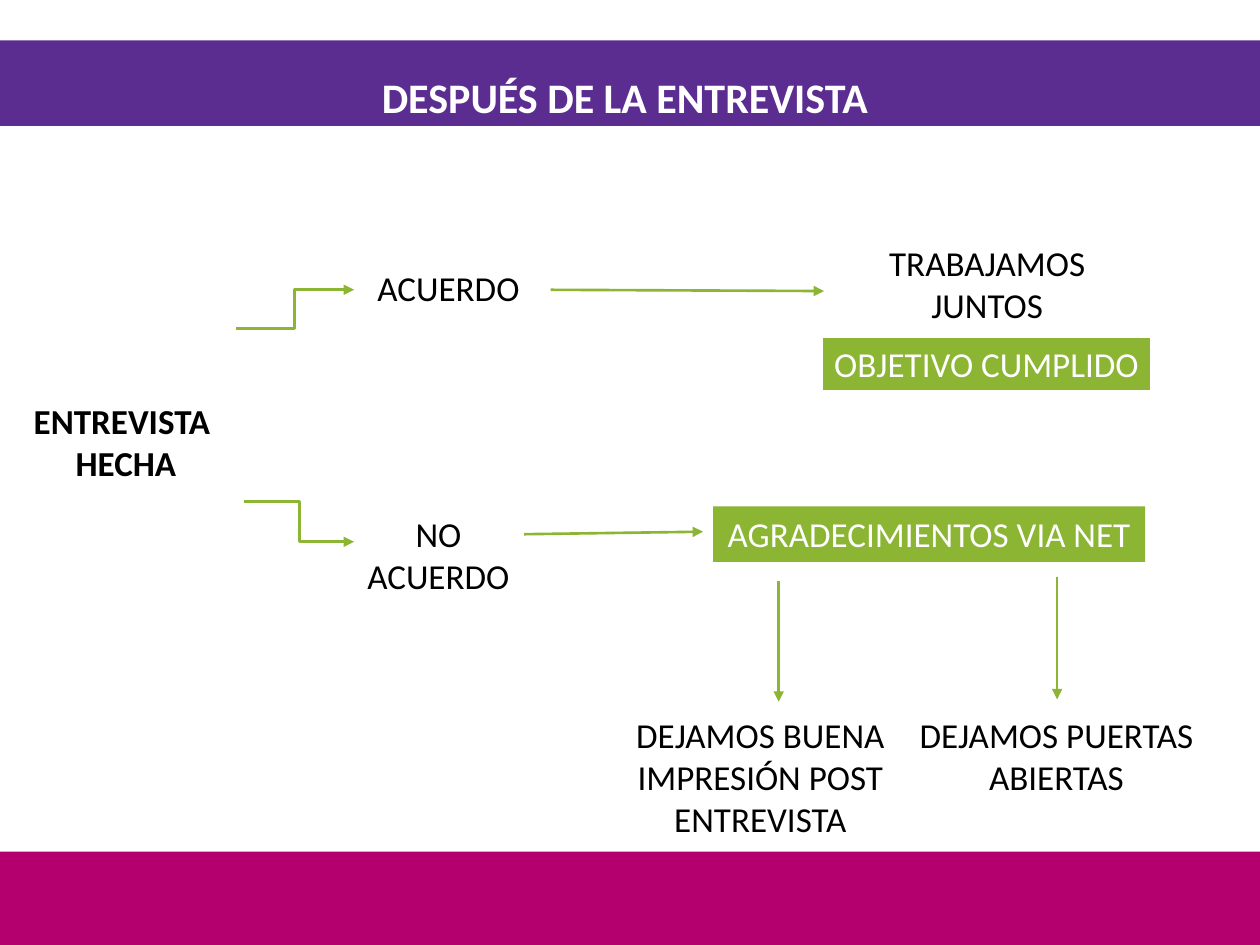
import pptx
import pptx.dml.color
import pptx.enum.shapes
import pptx.enum.text
import pptx.oxml.ns
import pptx.util
import lxml.etree

Inches = pptx.util.Inches
Pt = pptx.util.Pt
qn = pptx.oxml.ns.qn
ANCHOR = pptx.enum.text.MSO_ANCHOR
CONNECTOR = pptx.enum.shapes.MSO_CONNECTOR

COLORS = {"purple": "5C2D91", "magenta": "B4006F", "green": "8BB533",
          "white": "FFFFFF", "black": "000000"}


def rgb(name):
    return pptx.dml.color.RGBColor.from_string(COLORS[name])


def write(sp, lines, color="black", anchor=ANCHOR.TOP, wrap=True, spacing=1.0, **font):
    tf = sp.text_frame
    tf.word_wrap = wrap
    tf.vertical_anchor = anchor
    for i, line in enumerate(lines):
        p = tf.paragraphs[0] if i == 0 else tf.add_paragraph()
        p.alignment = pptx.enum.text.PP_ALIGN.CENTER
        p.line_spacing = spacing
        r = p.add_run()
        r.text = line
        for key, value in {"name": "Calibri", "size": Pt(20), "bold": False, **font}.items():
            setattr(r.font, key, value)
        r.font.color.rgb = rgb(color)


prs = pptx.Presentation()
prs.slide_width, prs.slide_height = Inches(10), Inches(7.5)
s = prs.slides.add_slide(prs.slide_layouts[6])

# Bands and green boxes: place, fill, outline, text
for place, fill, outline, text in [
    ((0, 6.76, 10, 0.74), "magenta", None, None),
    ((0, 0.32, 10, 0.68), "purple", None, None),
    ((5.66, 4.02, 3.43, 0.44), "green", None, "AGRADECIMIENTOS VIA NET"),
    ((6.52, 2.67, 2.62, 0.44), "green", "white", "OBJETIVO CUMPLIDO"),
]:
    sp = s.shapes.add_shape(pptx.enum.shapes.MSO_SHAPE.RECTANGLE, *map(Inches, place))
    sp.shadow.inherit = False
    sp.fill.solid()
    sp.fill.fore_color.rgb = rgb(fill)
    if outline:
        sp.line.color.rgb = rgb(outline)
        sp.line.width = Pt(1.5)
    else:
        sp.line.fill.background()
    if text:
        write(sp, [text], "white", wrap=False)

# Title and plain labels: place, lines, format
for place, lines, fmt in [
    ((0.46, -0.23, 9, 1.25), ["DESPUÉS DE LA ENTREVISTA"],
     {"color": "white", "anchor": ANCHOR.BOTTOM, "spacing": 0.9, "size": Pt(24), "bold": True}),
    ((0.06, 3.12, 1.88, 0.77), ["ENTREVISTA ", "HECHA"], {"bold": True}),
    ((2.89, 1.73, 1.34, 0.77), ["ACUERDO"], {"anchor": ANCHOR.BOTTOM}),
    ((2.81, 4.02, 1.34, 0.77), ["NO ACUERDO"], {}),
    ((6.68, 1.87, 2.31, 0.77), ["TRABAJAMOS JUNTOS"], {}),
    ((4.41, 5.61, 3.25, 1.11), ["DEJAMOS BUENA IMPRESIÓN POST ENTREVISTA"], {}),
    ((6.76, 5.61, 3.25, 0.77), ["DEJAMOS PUERTAS ABIERTAS"], {}),
]:
    write(s.shapes.add_textbox(*map(Inches, place)), lines, **fmt)

# Arrows: kind, start and end
for kind, ends in [
    (CONNECTOR.ELBOW, (1.87, 2.61, 2.81, 2.3)),
    (CONNECTOR.ELBOW, (1.94, 3.98, 2.81, 4.3)),
    (CONNECTOR.STRAIGHT, (4.37, 2.3, 6.54, 2.31)),
    (CONNECTOR.STRAIGHT, (4.16, 4.24, 5.58, 4.22)),
    (CONNECTOR.STRAIGHT, (6.18, 4.61, 6.18, 5.57)),
    (CONNECTOR.STRAIGHT, (8.39, 4.58, 8.39, 5.55)),
]:
    sp = s.shapes.add_connector(kind, *map(Inches, ends))
    sp.line.color.rgb = rgb("green")
    sp.line.width = Pt(1.5)
    props = sp._element.spPr
    lxml.etree.SubElement(props.find(qn("a:ln")), qn("a:tailEnd"), type="triangle")
    lxml.etree.SubElement(props, qn("a:effectLst"))

prs.save("out.pptx")
